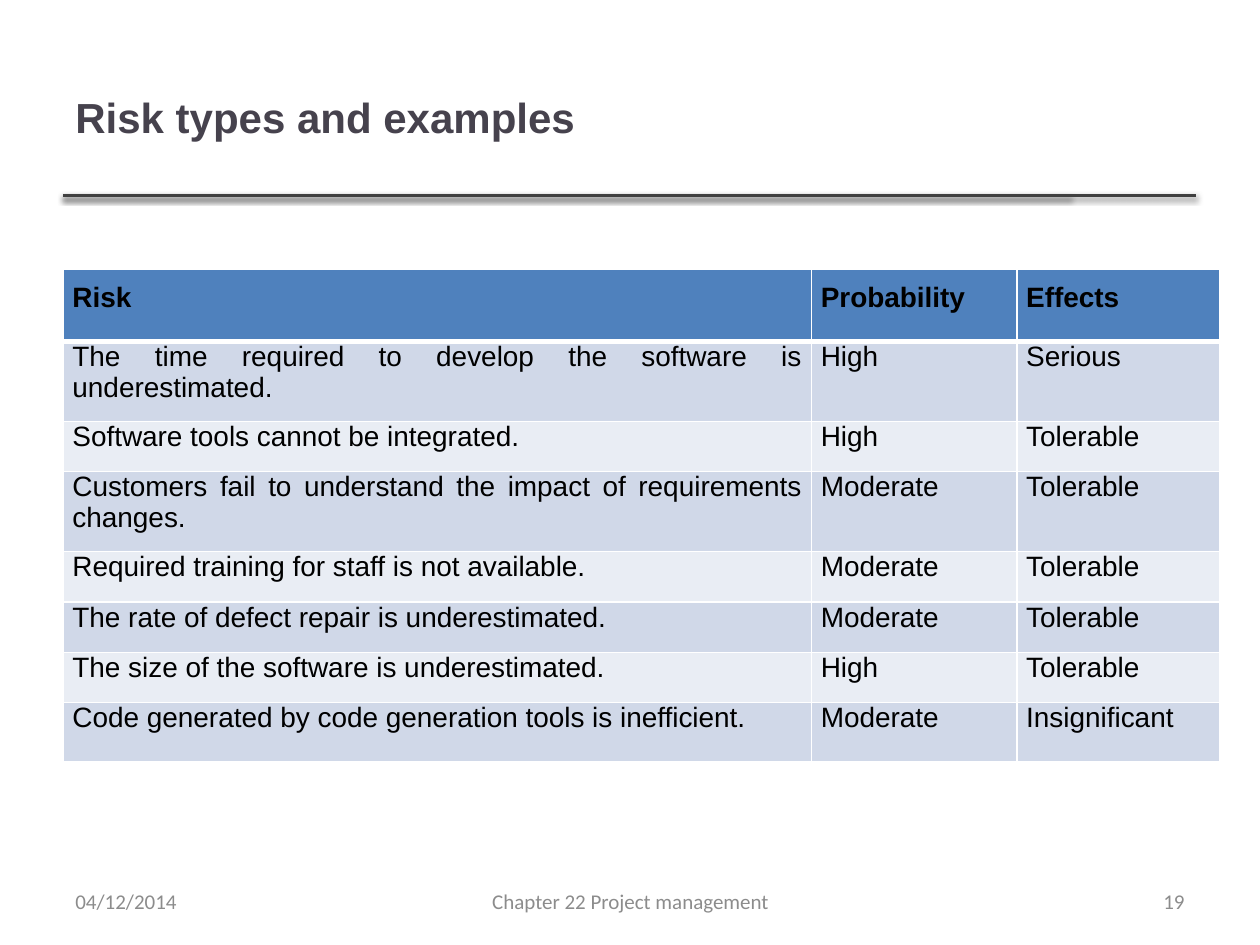
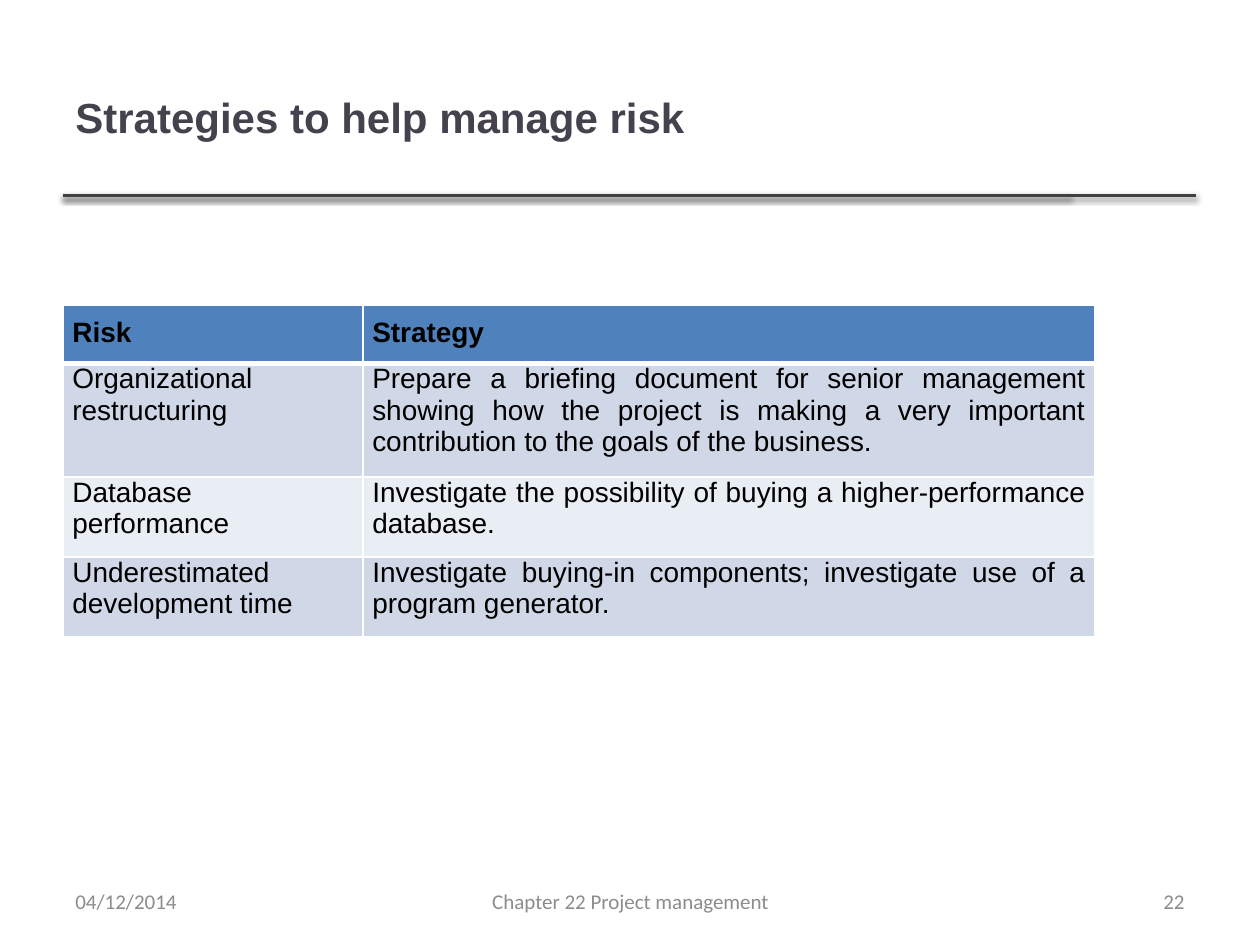
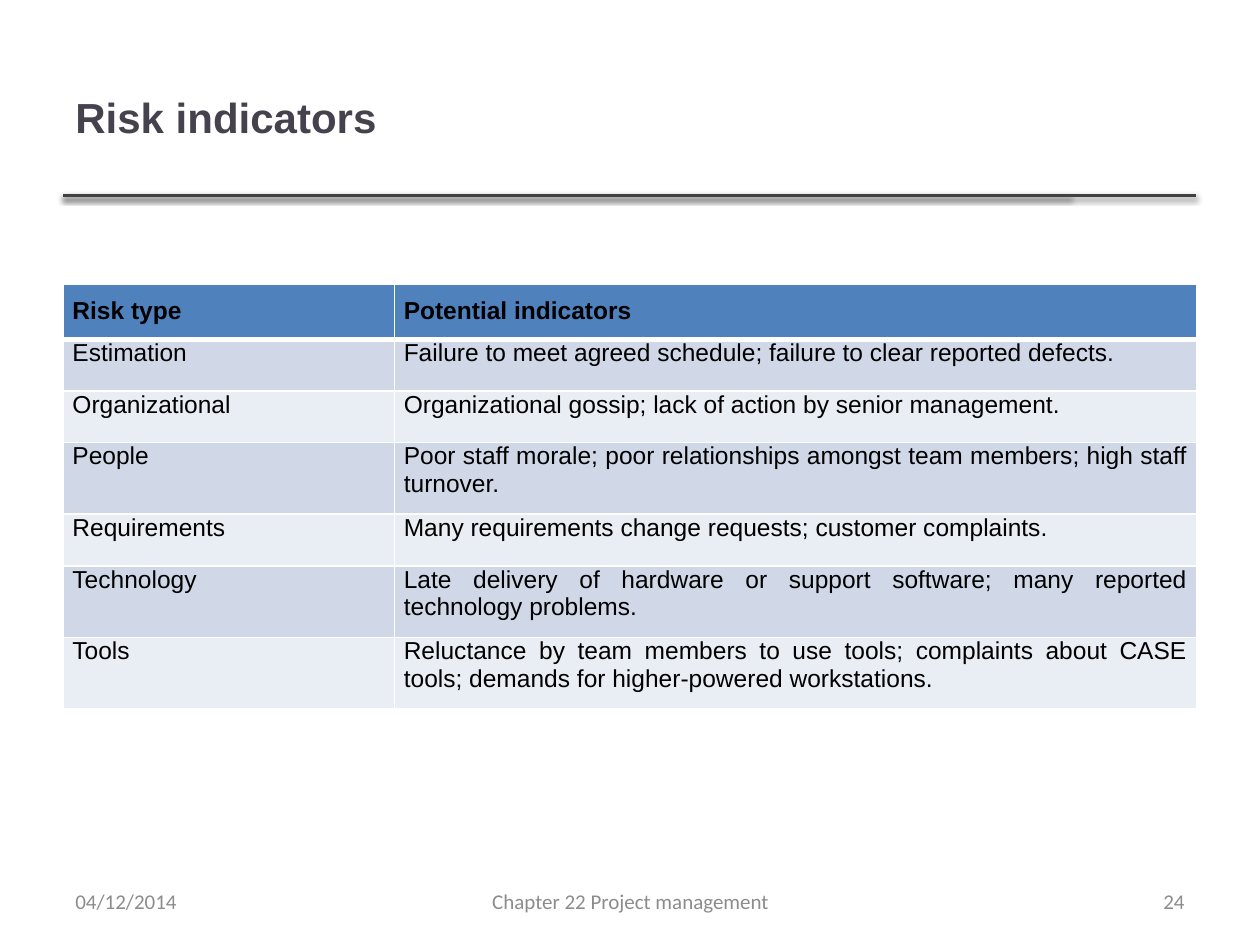
"""Build three risk management slides, each with a title, a rule and a table."""
from typing import NamedTuple

import lxml.etree
import pptx
import pptx.dml.color
import pptx.enum.shapes
import pptx.enum.text
import pptx.oxml.ns
import pptx.slide
import pptx.table
import pptx.text.text
import pptx.util

GRID_COLUMNS, GRID_ROWS = 100, 75
SLIDE_WIDTH, SLIDE_HEIGHT = pptx.util.Inches(10), pptx.util.Inches(7.5)
COLORS = {
    "title": "46424D", "rule": "404040", "footer": "8C8C8C", "text": "000000",
    "header": "4F81BD", "odd": "D0D8E8", "even": "E9EDF4", "border": "FFFFFF",
    "shadow": "000000",
}
ALIGN = pptx.enum.text.PP_ALIGN
MARGIN, RULE_ROW = 5, 15.5
RULE_ENDS = (84.9, 94.9)
CELL_INSET, CELL_PADDING = 0.75, 1
BORDER, HEADER_BORDER = 1, 3


class Style(NamedTuple):
    size: float
    font: str
    color: str
    bold: bool = False


class Box(NamedTuple):
    left: float
    top: float
    width: float
    height: float


class Footer(NamedTuple):
    box: Box
    align: ALIGN
    text: str


class RiskSlide(NamedTuple):
    title: str
    number: int
    top: float
    widths: tuple[float, ...]
    heights: tuple[float, ...]
    size: float
    label_align: ALIGN
    rows: tuple[tuple[str, ...], ...]


TITLE_BOX = Box(MARGIN, 3, 79.8, 12.5)
TITLE_STYLE = Style(24, "Arial", "title", True)
FOOTER_STYLE = Style(12, "Calibri", "footer")
FOOTERS = (
    Footer(Box(MARGIN, 69.5, 23.3, 4), ALIGN.LEFT, "04/12/2014"),
    Footer(Box(34.2, 69.5, 31.7, 4), ALIGN.CENTER, "Chapter 22 Project management"),
    Footer(Box(71.7, 69.5, 23.3, 4), ALIGN.RIGHT, "{number}"),
)
RISK_SLIDES = (
    RiskSlide(
        "Risk types and examples", 19, 21.4, (59.4, 16.3, 16.1),
        (5.7, 5.9, 4, 5.9, 4, 4, 4, 4.7), 16, ALIGN.JUSTIFY,
        (
            ("Risk", "Probability", "Effects"),
            ("The time required to develop the software is underestimated.",
             "High", "Serious"),
            ("Software tools cannot be integrated.", "High", "Tolerable"),
            ("Customers fail to understand the impact of requirements changes.",
             "Moderate", "Tolerable"),
            ("Required training for staff is not available.",
             "Moderate", "Tolerable"),
            ("The rate of defect repair is underestimated.",
             "Moderate", "Tolerable"),
            ("The size of the software is underestimated.", "High", "Tolerable"),
            ("Code generated by code generation tools is inefficient.",
             "Moderate", "Insignificant"),
        ),
    ),
    RiskSlide(
        "Strategies to help manage risk", 22, 24.2, (23.8, 58.1),
        (4.4, 8.4, 5.9, 5.9), 16, ALIGN.LEFT,
        (
            ("Risk", "Strategy"),
            ("Organizational restructuring",
             "Prepare a briefing document for senior management showing how the "
             "project is making a very important contribution to the goals of "
             "the business."),
            ("Database performance",
             "Investigate the possibility of buying a higher-performance database."),
            ("Underestimated development time",
             "Investigate buying-in components; investigate use of a program "
             "generator."),
        ),
    ),
    RiskSlide(
        "Risk indicators", 24, 22.6, (26.3, 63.7),
        (4.1, 4.1, 4.1, 5.3, 4.1, 5.4, 5.3), 14, ALIGN.JUSTIFY,
        (
            ("Risk type", "Potential indicators"),
            ("Estimation",
             "Failure to meet agreed schedule; failure to clear reported defects."),
            ("Organizational",
             "Organizational gossip; lack of action by senior management."),
            ("People",
             "Poor staff morale; poor relationships amongst team members; high "
             "staff turnover."),
            ("Requirements",
             "Many requirements change requests; customer complaints."),
            ("Technology",
             "Late delivery of hardware or support software; many reported "
             "technology problems."),
            ("Tools",
             "Reluctance by team members to use tools; complaints about CASE "
             "tools; demands for higher-powered workstations."),
        ),
    ),
)


def across(columns: float) -> pptx.util.Emu:
    """Convert grid columns to a length."""
    return pptx.util.Emu(round(SLIDE_WIDTH * columns / GRID_COLUMNS))


def down(rows: float) -> pptx.util.Emu:
    """Convert grid rows to a length."""
    return pptx.util.Emu(round(SLIDE_HEIGHT * rows / GRID_ROWS))


def rgb(name: str) -> pptx.dml.color.RGBColor:
    """Look up a named colour."""
    return pptx.dml.color.RGBColor.from_string(COLORS[name])


def add_child(parent: lxml.etree._Element, tag: str, **attributes: object) -> lxml.etree._Element:
    """Append a drawing element with the given attributes."""
    return lxml.etree.SubElement(
        parent, pptx.oxml.ns.qn(tag),
        {key: str(value) for key, value in attributes.items()},
    )


def write(frame: pptx.text.text.TextFrame, text: str, style: Style, align: ALIGN) -> None:
    """Write one styled run into the first paragraph."""
    paragraph = frame.paragraphs[0]
    paragraph.alignment = align
    run = paragraph.add_run()
    run.text = text
    run.font.size = pptx.util.Pt(style.size)
    run.font.name = style.font
    run.font.bold = style.bold
    run.font.color.rgb = rgb(style.color)


def add_text(slide: pptx.slide.Slide, box: Box, text: str, style: Style, align: ALIGN) -> None:
    """Add a vertically centred text box."""
    shape = slide.shapes.add_textbox(
        across(box.left), down(box.top), across(box.width), down(box.height))
    shape.text_frame.word_wrap = True
    shape.text_frame.vertical_anchor = pptx.enum.text.MSO_ANCHOR.MIDDLE
    write(shape.text_frame, text, style, align)


def add_rule(slide: pptx.slide.Slide, end: float) -> None:
    """Add a shadowed line below the title."""
    rule = slide.shapes.add_connector(
        pptx.enum.shapes.MSO_CONNECTOR.STRAIGHT,
        across(MARGIN), down(RULE_ROW), across(end), down(RULE_ROW))
    rule.line.color.rgb = rgb("rule")
    rule.line.width = pptx.util.Pt(2)
    effects = add_child(rule._element.spPr, "a:effectLst")
    shadow = add_child(effects, "a:outerShdw", blurRad=40000, dist=20000,
                       dir=5400000, rotWithShape=0)
    color = add_child(shadow, "a:srgbClr", val=COLORS["shadow"])
    add_child(color, "a:alpha", val=38000)


def set_borders(cell: pptx.table._Cell, top: float, bottom: float) -> None:
    """Draw the four cell borders, with widths in points."""
    properties = cell._tc.get_or_add_tcPr()
    widths = {"a:lnL": BORDER, "a:lnR": BORDER, "a:lnT": top, "a:lnB": bottom}
    for tag, width in widths.items():
        line = add_child(properties, tag, w=pptx.util.Pt(width))
        fill = add_child(line, "a:solidFill")
        add_child(fill, "a:srgbClr", val=COLORS["border"])


def style_cell(cell: pptx.table._Cell, row: int) -> None:
    """Set the insets, borders and fill that suit the row."""
    cell.margin_left = cell.margin_right = across(CELL_INSET)
    cell.margin_top = down(0 if row else CELL_PADDING)
    cell.margin_bottom = down(CELL_PADDING)
    set_borders(cell,
                HEADER_BORDER if row == 1 else BORDER,
                BORDER if row else HEADER_BORDER)
    cell.fill.solid()
    cell.fill.fore_color.rgb = rgb(("odd" if row % 2 else "even") if row else "header")


def add_risk_table(slide: pptx.slide.Slide, content: RiskSlide) -> None:
    """Add the table with a header row and banded body rows."""
    table = slide.shapes.add_table(
        len(content.rows), len(content.widths), across(MARGIN), down(content.top),
        across(sum(content.widths)), down(sum(content.heights))).table
    for column, width in zip(table.columns, content.widths):
        column.width = across(width)
    for row, (height, texts) in enumerate(zip(content.heights, content.rows)):
        table.rows[row].height = down(height)
        style = Style(content.size, "Arial", "text", row == 0)
        for column, text in enumerate(texts):
            cell = table.cell(row, column)
            style_cell(cell, row)
            is_label = row > 0 and column == 0
            write(cell.text_frame, text, style,
                  content.label_align if is_label else ALIGN.JUSTIFY)


def add_risk_slide(presentation: pptx.presentation.Presentation, content: RiskSlide) -> None:
    """Add one slide with its shared frame and its table."""
    slide = presentation.slides.add_slide(presentation.slide_layouts[6])
    for end in RULE_ENDS:
        add_rule(slide, end)
    add_text(slide, TITLE_BOX, content.title, TITLE_STYLE, ALIGN.LEFT)
    add_risk_table(slide, content)
    for footer in FOOTERS:
        text = footer.text.format(number=content.number)
        add_text(slide, footer.box, text, FOOTER_STYLE, footer.align)


def main() -> None:
    """Build and save the presentation."""
    presentation = pptx.Presentation()
    presentation.slide_width, presentation.slide_height = SLIDE_WIDTH, SLIDE_HEIGHT
    for content in RISK_SLIDES:
        add_risk_slide(presentation, content)
    presentation.save("out.pptx")


if __name__ == "__main__":
    main()
